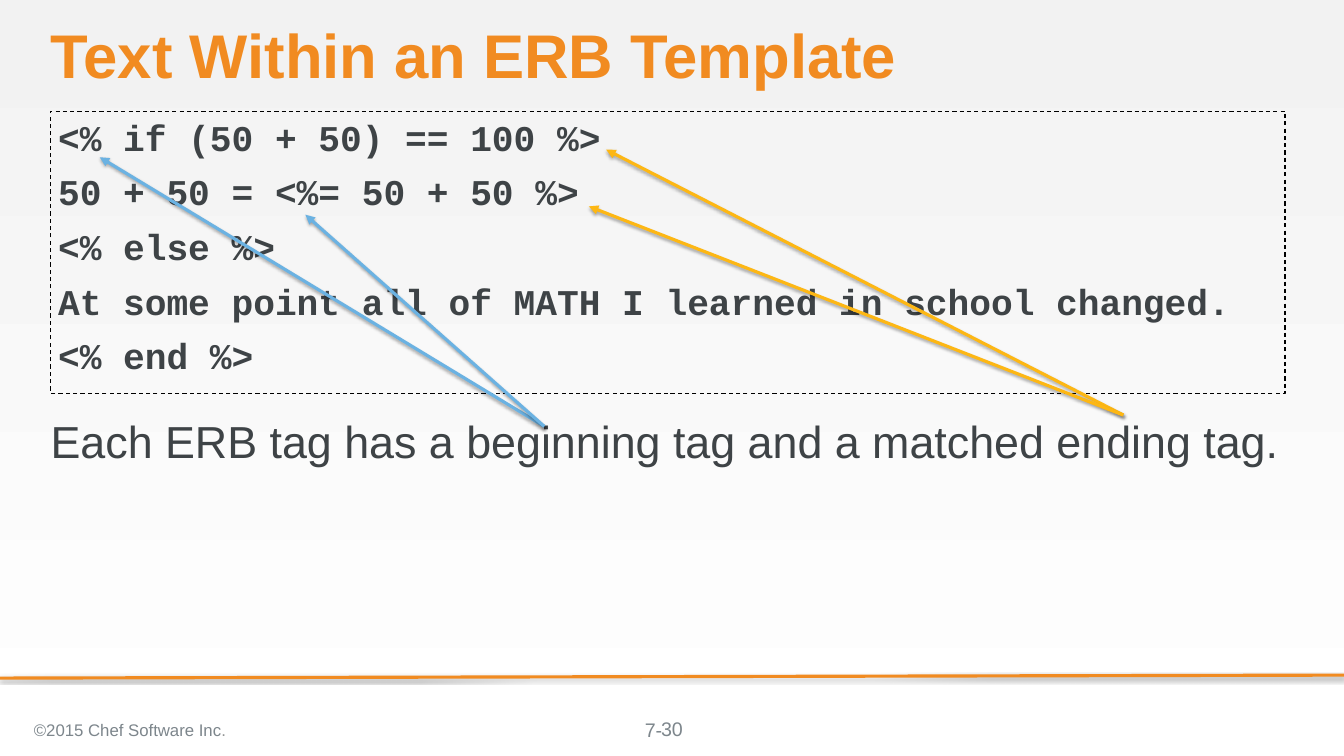
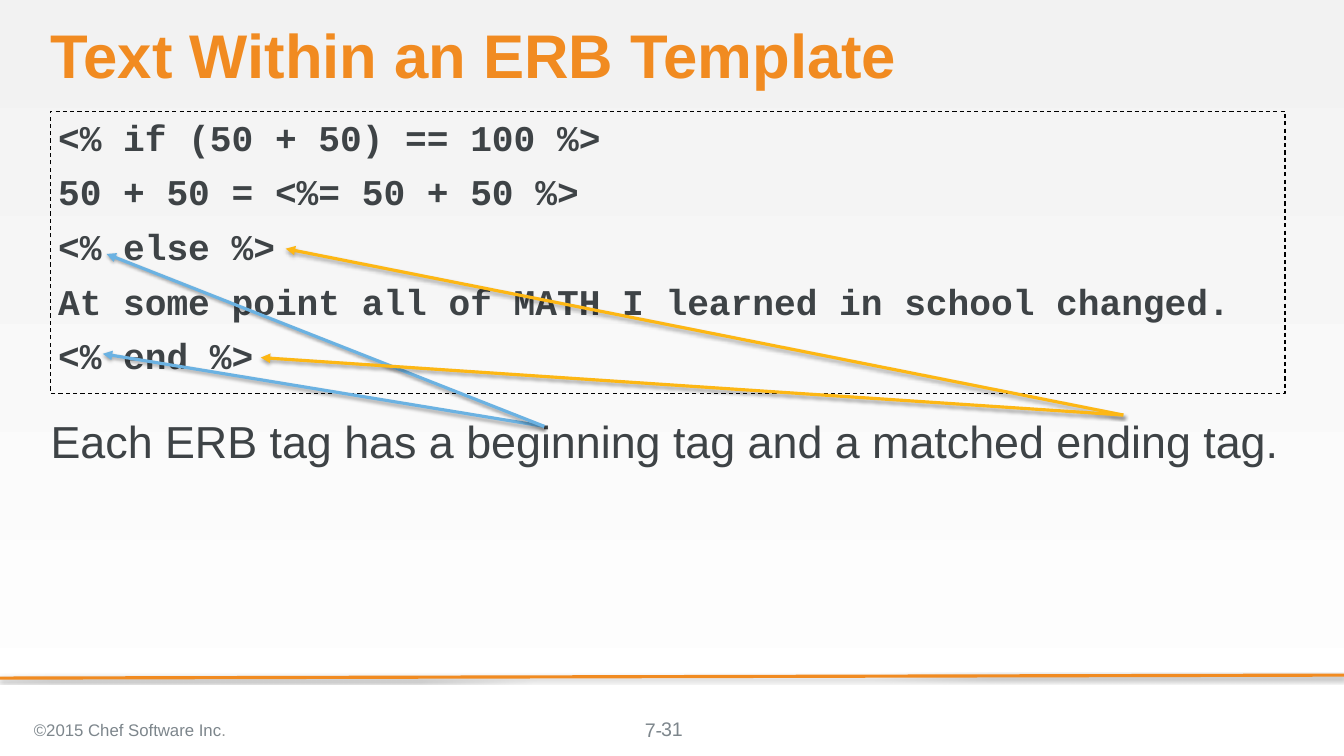
from dataclasses import dataclass

from lxml import etree
from pptx import Presentation
from pptx.dml.color import RGBColor as Rgb
from pptx.enum.dml import MSO_LINE as Dash
from pptx.enum.shapes import MSO_CONNECTOR as Conn, MSO_SHAPE as Shape
from pptx.enum.text import MSO_ANCHOR as Anchor, PP_ALIGN as Align
from pptx.oxml import parse_xml
from pptx.oxml.ns import nsdecls, qn
from pptx.util import Inches, Pt


@dataclass(frozen=True)
class Theme:
    orange: str = "F18B21"
    blue: str = "6BB2E2"
    gold: str = "FDB714"
    ink: str = "3E4346"
    gray: str = "7D868C"
    dot: str = "929494"
    edge: str = "000000"
    top: str = "F2F2F2"
    base: str = "FFFFFF"
    sans: str = "Arial"
    mono: str = "Courier New"
    title: float = 58.7
    body: float = 42.7
    code: float = 34.5
    page: float = 18.7
    legal: float = 16
    gap: float = 10.7
    rule: float = 3


T = Theme()
WIDE, HIGH = 17.78, 10
TITLE = "Text Within an ERB Template"
CODE = [
    "<% if (50 + 50) == 100 %>",
    "50 + 50 = <%= 50 + 50 %>",
    "<% else %>",
    "At some point all of MATH I learned in school changed.",
    "<% end %>",
]
NOTE = "Each ERB tag has a beginning tag and a matched ending tag."

# Regions: left, top, width, height
HEAD = (0.67, 0.33, 16.33, 0.91)
PANEL = (0.67, 1.47, 16.33, 3.73)
BODY = (0.67, 5.47, 16.33, 3.73)
FOOT = (0, 9.38, WIDE, 0.56)

# Arrow starts, above "beginning" and "ending" in the note
START, END = (7.2, 5.64), (14.86, 5.49)

# Page number, tips at opening tags, tips at closing tags
PAGES = [
    (30, [(1.32, 2.08), (4.04, 2.84)], [(8.02, 1.98), (7.79, 2.73)]),
    (31, [(1.36, 4.68), (1.41, 3.36)], [(3.78, 3.29), (3.45, 4.73)]),
]


def style(para, size, color, face=T.sans, bold=False):
    font = para.font
    font.size, font.name, font.bold = Pt(size), face, bold
    font.color.rgb = Rgb.from_string(color)


def fill(shape, lines, pad=(0, 0), anchor=Anchor.TOP):
    """Put lines in a shape and return its paragraphs."""
    frame = shape.text_frame
    frame.word_wrap = True
    frame.vertical_anchor = anchor
    frame.margin_left = frame.margin_right = Inches(pad[0])
    frame.margin_top = frame.margin_bottom = Inches(pad[1])
    frame.text = "\n".join(lines)
    return frame.paragraphs


def label(slide, box, text, **opts):
    shape = slide.shapes.add_textbox(*map(Inches, box))
    return fill(shape, [text], **opts)[0]


def line(slide, start, end, color, arrow=False):
    """Draw a line with a soft shadow and, if asked, an arrowhead."""
    link = slide.shapes.add_connector(
        Conn.STRAIGHT, *map(Inches, (*start, *end)))
    link.line.width = Pt(T.rule)
    link.line.color.rgb = Rgb.from_string(color)
    if arrow:
        etree.SubElement(link.line._get_or_add_ln(), qn("a:tailEnd"),
                         type="triangle")
    link._element.spPr.append(parse_xml(
        f'<a:effectLst {nsdecls("a")}>'
        f'<a:outerShdw blurRad="{Pt(3.1)}" dist="{Pt(1.8)}" dir="5400000" '
        f'rotWithShape="0"><a:srgbClr val="{T.edge}">'
        '<a:alpha val="35000"/></a:srgbClr></a:outerShdw></a:effectLst>'))


def backdrop(deck):
    paint = deck.slide_master.background.fill
    paint.gradient()
    paint.gradient_angle = 270
    for stop, color in zip(paint.gradient_stops, (T.top, T.base)):
        stop.color.rgb = Rgb.from_string(color)


def heading(slide, box):
    para = label(slide, box, TITLE)
    para.line_spacing = 0.9
    style(para, T.title, T.orange, bold=True)


def listing(slide, box):
    panel = slide.shapes.add_shape(Shape.RECTANGLE, *map(Inches, box))
    panel.shadow.inherit = False
    panel.fill.background()
    panel.line.width = Pt(1)
    panel.line.color.rgb = Rgb.from_string(T.edge)
    panel.line.dash_style = Dash.DASH
    for i, para in enumerate(fill(panel, CODE, (0.1, 0.05))):
        para.alignment = Align.LEFT
        para.space_before = Pt(T.gap if i else 0)
        style(para, T.code, T.ink, T.mono, True)


def note(slide, box):
    style(label(slide, box, NOTE), T.body, T.ink)


def footer(slide, box, page):
    x, y, wide, high = box
    # Chapter prefix and page number
    part = label(slide, (x + 8.53, y + 0.11, 0.76, 0.31), "7-")
    num = label(slide, (x + wide / 2 - 2, y, 4, 0.53), str(page),
                pad=(0.1, 0.05), anchor=Anchor.MIDDLE)
    num.alignment = Align.CENTER
    # Copyright line
    legal = label(slide, (x + 0.35, y, 6.21, high), "©2015 Chef Software Inc",
                  pad=(0.1, 0.05), anchor=Anchor.MIDDLE)
    dot = legal.add_run()
    dot.text = "."
    dot.font.color.rgb = Rgb.from_string(T.dot)
    for para, size in ((part, T.page), (num, T.page), (legal, T.legal)):
        style(para, size, T.gray)


def build(deck, page, opens, ends):
    slide = deck.slides.add_slide(deck.slide_layouts[6])
    line(slide, (WIDE, 8.93), (0, 8.97), T.orange)
    heading(slide, HEAD)
    listing(slide, PANEL)
    note(slide, BODY)
    # Arrows from the note to the tags
    for start, tips, color in ((START, opens, T.blue), (END, ends, T.gold)):
        for tip in tips:
            line(slide, start, tip, color, arrow=True)
    footer(slide, FOOT, page)


def main():
    deck = Presentation()
    deck.slide_width, deck.slide_height = Inches(WIDE), Inches(HIGH)
    backdrop(deck)
    for page in PAGES:
        build(deck, *page)
    deck.save("out.pptx")


if __name__ == "__main__":
    main()
